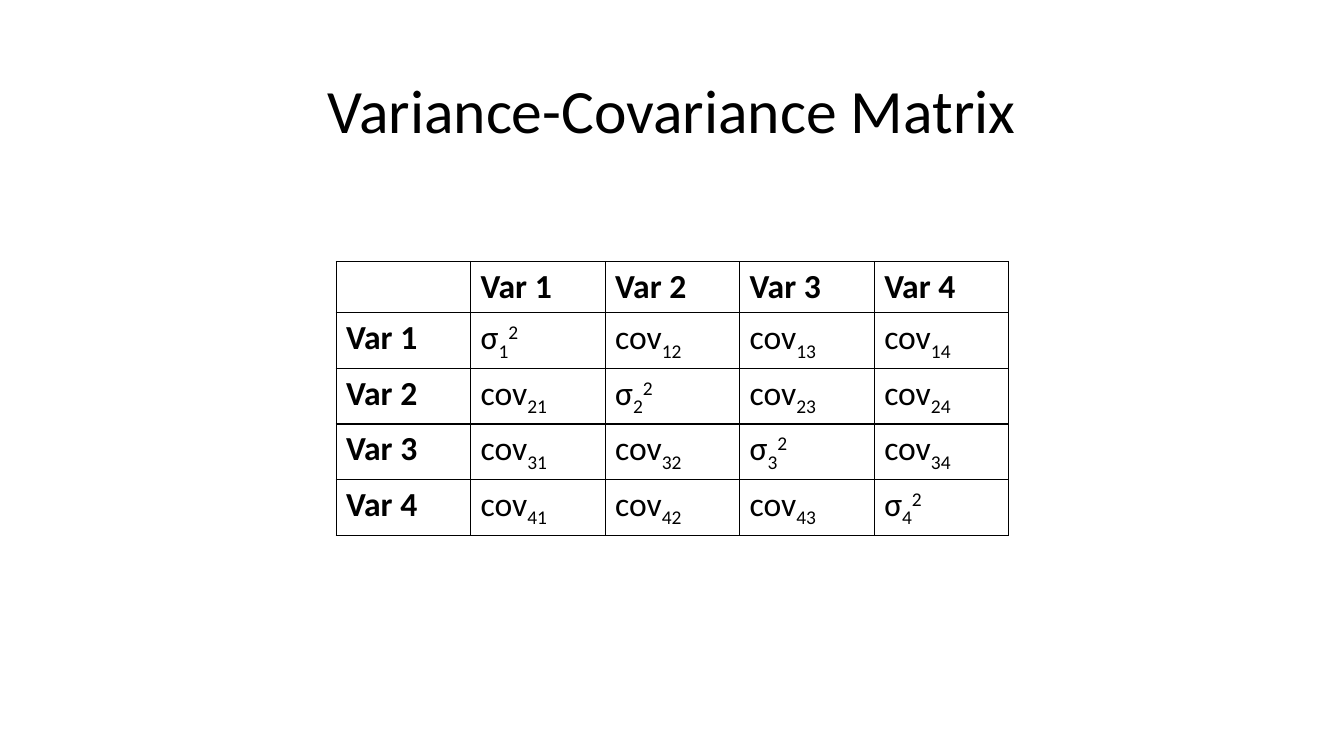
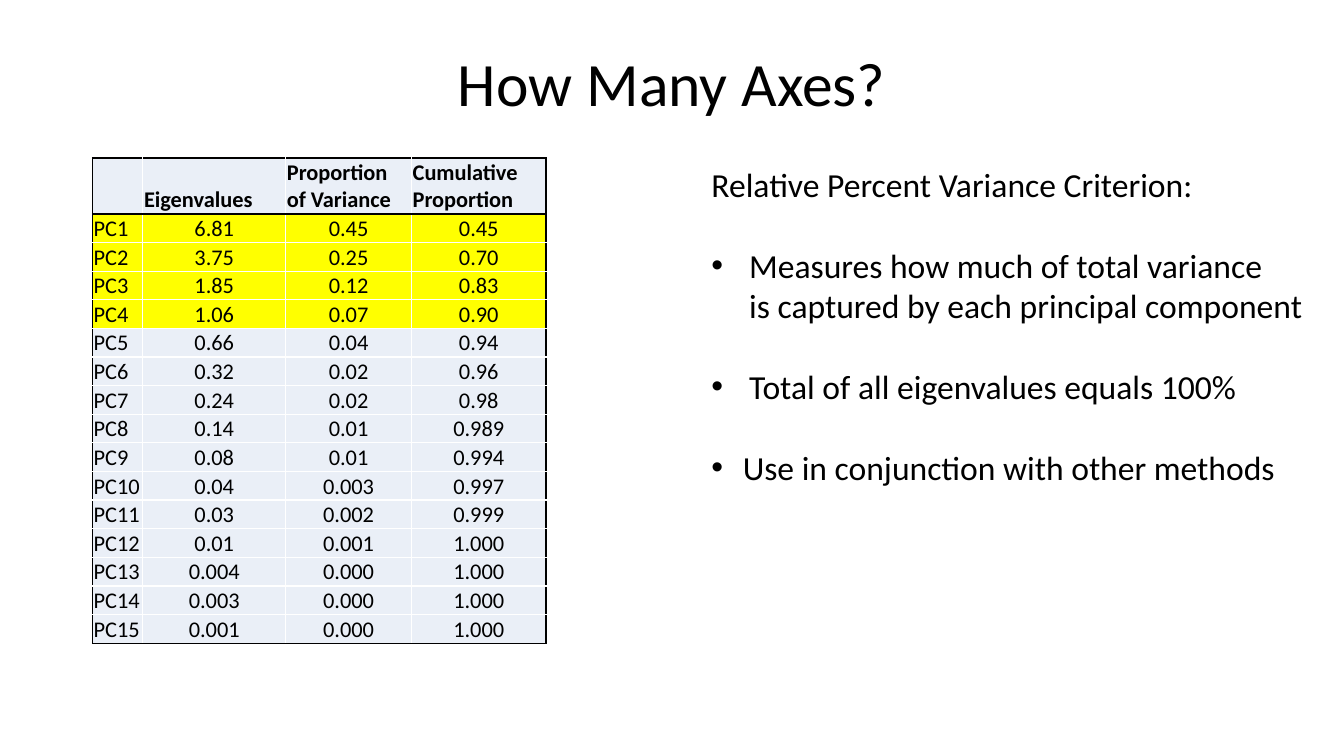
import pptx
import pptx.dml.color
import pptx.enum.text
import pptx.oxml
import pptx.oxml.ns
import pptx.util

Cm, Pt = pptx.util.Cm, pptx.util.Pt
ALIGN = pptx.enum.text.PP_ALIGN
ANCHOR = pptx.enum.text.MSO_ANCHOR

# Shared look
BLACK, WHITE, PALE_BLUE, YELLOW = "000000", "FFFFFF", "EAEFF7", "FFFF00"
FONT = "Calibri"
TITLE_LEFT, TITLE_WIDTH, TITLE_HEIGHT = 2.33, 29.21, 3.68
SUBSCRIPT, SUPERSCRIPT = -25000, 30000

# Content
VARIABLES = 4
EIGEN_HEADINGS = ["", "Eigenvalues", "Proportion of Variance", "Cumulative Proportion"]
COMPONENTS = [
    ("6.81", "0.45", "0.45"),
    ("3.75", "0.25", "0.70"),
    ("1.85", "0.12", "0.83"),
    ("1.06", "0.07", "0.90"),
    ("0.66", "0.04", "0.94"),
    ("0.32", "0.02", "0.96"),
    ("0.24", "0.02", "0.98"),
    ("0.14", "0.01", "0.989"),
    ("0.08", "0.01", "0.994"),
    ("0.04", "0.003", "0.997"),
    ("0.03", "0.002", "0.999"),
    ("0.01", "0.001", "1.000"),
    ("0.004", "0.000", "1.000"),
    ("0.003", "0.000", "1.000"),
    ("0.001", "0.000", "1.000"),
]
RETAINED = 4
CRITERION = "Relative Percent Variance Criterion:"
POINTS = [  # text, hanging indent in cm
    ("Measures how much of total variance\vis captured by each principal component", 0.95),
    ("Total of all eigenvalues equals 100%", 0.95),
    ("Use in conjunction with other methods", 0.79),
]


def colour(hex_value):
    return pptx.dml.color.RGBColor.from_string(hex_value)


def apply(target, values):
    for attribute, value in values.items():
        setattr(target, attribute, value)


def style_font(font, size, bold=False):
    apply(font, {"name": FONT, "size": Pt(size), "bold": bold})
    font.color.rgb = colour(BLACK)


def add_titled_slide(deck, title_text, top):
    slide = deck.slides.add_slide(deck.slide_layouts[5])
    title = slide.shapes.title
    apply(title, {"left": Cm(TITLE_LEFT), "top": Cm(top),
                  "width": Cm(TITLE_WIDTH), "height": Cm(TITLE_HEIGHT)})
    title.text_frame.text = title_text
    title.text_frame.vertical_anchor = ANCHOR.MIDDLE
    paragraph = title.text_frame.paragraphs[0]
    apply(paragraph, {"alignment": ALIGN.CENTER, "line_spacing": 0.9})
    style_font(paragraph.runs[0].font, 44)
    return slide


# Tables
def add_grid(slide, left, top, widths, heights):
    grid = slide.shapes.add_table(len(heights), len(widths), Cm(left), Cm(top),
                                  Cm(sum(widths)), Cm(sum(heights))).table
    apply(grid, {"first_row": False, "horz_banding": False})
    for column, width in zip(grid.columns, widths):
        column.width = Cm(width)
    for row, height in zip(grid.rows, heights):
        row.height = Cm(height)
    return grid


def set_borders(cell, left, right, top, bottom):
    properties = cell._tc.get_or_add_tcPr()
    for side, hex_value in zip("LRTB", (left, right, top, bottom)):
        properties.append(pptx.oxml.parse_xml(
            f'<a:ln{side} {pptx.oxml.ns.nsdecls("a")} w="12700"><a:solidFill>'
            f'<a:srgbClr val="{hex_value}"/></a:solidFill></a:ln{side}>'))


def write_cell(cell, pieces, size, bold=False, alignment=ALIGN.LEFT):
    """Each piece is a text with its baseline shift."""
    paragraph = cell.text_frame.paragraphs[0]
    paragraph.alignment = alignment
    for text, baseline in pieces:
        run = paragraph.add_run()
        run.text = text
        style_font(run.font, size, bold)
        if baseline:
            run._r.get_or_add_rPr().set("baseline", str(baseline))


def matrix_entry(row, column):
    if row == column == 0:
        return []
    if row == 0 or column == 0:
        return [(f"Var {row or column}", 0)]
    if row == column:
        return [("σ", 0), (str(row), SUBSCRIPT), ("2", SUPERSCRIPT)]
    return [("cov", 0), (f"{row}{column}", SUBSCRIPT)]


def add_covariance_matrix(slide):
    count = VARIABLES + 1
    grid = add_grid(slide, 8.47, 6.59, [3.39] * count, [1.29] + [1.4] * VARIABLES)
    for row in range(count):
        for column in range(count):
            cell = grid.cell(row, column)
            set_borders(cell, BLACK, BLACK, BLACK, BLACK)
            cell.fill.background()
            write_cell(cell, matrix_entry(row, column), 24, bold=row == 0 or column == 0)


def add_eigenvalue_table(slide):
    rows = [EIGEN_HEADINGS]
    rows += [(f"PC{number}", *values) for number, values in enumerate(COMPONENTS, 1)]
    last_row, last_column = len(rows) - 1, len(EIGEN_HEADINGS) - 1
    grid = add_grid(slide, 2.33, 3.98, [1.27, 3.6, 3.17, 3.39],
                    [1.41] + [0.71] * len(COMPONENTS))
    for row, texts in enumerate(rows):
        for column, text in enumerate(texts):
            cell = grid.cell(row, column)
            # Black frame and header rule, white lines inside
            set_borders(cell,
                        BLACK if column == 0 else WHITE,
                        BLACK if column == last_column else WHITE,
                        BLACK if row <= 1 else WHITE,
                        BLACK if row in (0, last_row) else WHITE)
            cell.fill.solid()
            cell.fill.fore_color.rgb = colour(YELLOW if 1 <= row <= RETAINED else PALE_BLUE)
            apply(cell, {"margin_left": Cm(0.03), "margin_right": Cm(0.03),
                         "margin_top": Cm(0.03), "margin_bottom": 0,
                         "vertical_anchor": ANCHOR.BOTTOM})
            if text:
                write_cell(cell, [(text, 0)], 16, bold=row == 0,
                           alignment=ALIGN.CENTER if row and column else ALIGN.LEFT)


# Bulleted text
def set_bullet(paragraph, indent):
    properties = paragraph._p.get_or_add_pPr()
    properties.set("marL", str(Cm(indent)))
    properties.set("indent", str(-Cm(indent)))
    for tag in ('buFont typeface="Arial"', 'buChar char="•"'):
        properties.append(pptx.oxml.parse_xml(f'<a:{tag} {pptx.oxml.ns.nsdecls("a")}/>'))


def add_criterion(slide):
    frame = slide.shapes.add_textbox(Cm(17.68), Cm(4.01), Cm(15.8), Cm(9.25)).text_frame
    frame.word_wrap = True
    heading = frame.paragraphs[0]
    heading.text = CRITERION
    style_font(heading.font, 24)
    for text, indent in POINTS:
        point = frame.add_paragraph()
        point.text = text
        point.space_before = Pt(29)
        set_bullet(point, indent)
        style_font(point.font, 24)
    for paragraph in frame.paragraphs:
        for run in paragraph.runs:
            style_font(run.font, 24)


def main():
    deck = pptx.Presentation()
    apply(deck, {"slide_width": Cm(33.87), "slide_height": Cm(19.05)})

    matrix_slide = add_titled_slide(deck, "Variance-Covariance Matrix", 1.01)
    add_covariance_matrix(matrix_slide)

    axes_slide = add_titled_slide(deck, "How Many Axes?", 0.33)
    add_eigenvalue_table(axes_slide)
    add_criterion(axes_slide)

    deck.save("out.pptx")


if __name__ == "__main__":
    main()
